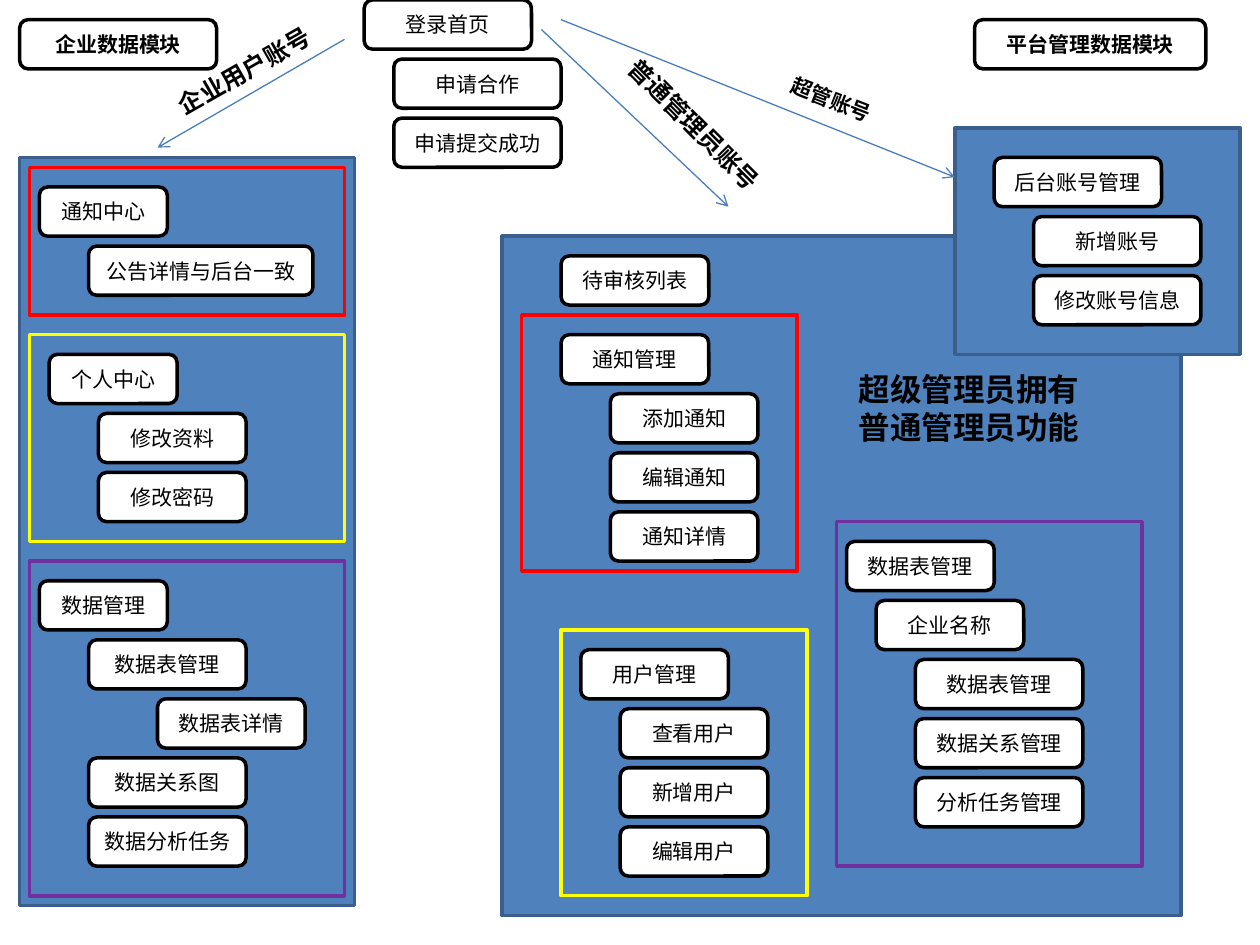
from lxml.etree import SubElement
from pptx import Presentation
from pptx.dml.color import RGBColor
from pptx.enum.shapes import MSO_CONNECTOR, MSO_SHAPE
from pptx.enum.text import MSO_ANCHOR, MSO_AUTO_SIZE, PP_ALIGN
from pptx.oxml.ns import qn
from pptx.util import Emu, Pt

EMU_PER_PX = 914400 / 128
ROW_PITCH = 60
NODE_HEIGHT = 50
FONT = "Calibri"
BLACK, WHITE = "000000", "FFFFFF"
RED, YELLOW, PURPLE = "FF0000", "FFFF00", "7030A0"
PANEL_FILL, PANEL_EDGE, ARROW_BLUE = "4F81BD", "3A5F8C", "4B7EBC"

PANELS = [(510, 240, 690, 690), (970, 130, 290, 230), (20, 160, 340, 760)]

FRAMES = [
    (30, 170, 320, 150, RED),
    (30, 340, 320, 210, YELLOW),
    (30, 570, 320, 340, PURPLE),
    (530, 320, 280, 260, RED),
    (570, 640, 250, 270, YELLOW),
    (850, 530, 310, 350, PURPLE),
]

HEADINGS = [(20, 20, 200, "企业数据模块"), (990, 20, 235, "平台管理数据模块")]

MENUS = [
    (0, [(370, 170, "登录首页"), (400, 170, "申请合作"), (400, 170, "申请提交成功")]),
    (190, [(40, 130, "通知中心"), (90, 228, "公告详情与后台一致")]),
    (360, [(50, 130, "个人中心"), (100, 150, "修改资料"), (100, 150, "修改密码")]),
    (590, [(40, 130, "数据管理"), (90, 160, "数据表管理"), (160, 150, "数据表详情"),
           (90, 160, "数据关系图"), (90, 160, "数据分析任务")]),
    (260, [(570, 150, "待审核列表")]),
    (340, [(570, 150, "通知管理"), (620, 150, "添加通知"), (620, 150, "编辑通知"),
           (620, 150, "通知详情")]),
    (660, [(590, 150, "用户管理"), (630, 150, "查看用户"), (630, 150, "新增用户"),
           (630, 150, "编辑用户")]),
    (550, [(860, 150, "数据表管理"), (890, 150, "企业名称"), (930, 170, "数据表管理"),
           (930, 170, "数据关系管理"), (930, 170, "分析任务管理")]),
    (160, [(1010, 170, "后台账号管理"), (1050, 170, "新增账号"), (1050, 170, "修改账号信息")]),
]

LOGIN_ROUTES = [(350, 40, 160, 150), (550, 30, 740, 210), (570, 20, 970, 180)]

ROUTE_LABELS = [
    (159, 44, 201, 44, "企业用户账号", 14, 330.4),
    (605, 105, 200, 44, "普通管理员账号", 14, 45.3),
    (788, 90, 154, 38, "超管账号", 12, 21.5),
]


def px(length):
    """Turn whole pixels into EMU."""
    return Emu(round(length * EMU_PER_PX))


def color(hex_code):
    """Turn a hex string into a colour."""
    return RGBColor.from_string(hex_code)


def add_run(paragraph, text, size, bold):
    """Add one black run to a paragraph."""
    run = paragraph.add_run()
    run.text = text
    run.font.name = FONT
    run.font.size = Pt(size)
    run.font.bold = bold
    run.font.color.rgb = color(BLACK)


def add_box(slide, kind, left, top, width, height, edge, fill=None):
    """Add an outlined shape, filled only when a fill is given."""
    box = slide.shapes.add_shape(kind, px(left), px(top), px(width), px(height))
    box.shadow.inherit = False
    box.line.color.rgb = color(edge)
    box.line.width = Pt(2)
    if fill:
        box.fill.solid()
        box.fill.fore_color.rgb = color(fill)
    else:
        box.fill.background()
    return box


def add_node(slide, left, top, width, text, bold=False):
    """Add a white rounded page node with a centred name."""
    node = add_box(slide, MSO_SHAPE.ROUNDED_RECTANGLE, left, top, width,
                   NODE_HEIGHT, BLACK, WHITE)
    frame = node.text_frame
    frame.word_wrap = True
    frame.vertical_anchor = MSO_ANCHOR.MIDDLE
    paragraph = frame.paragraphs[0]
    paragraph.alignment = PP_ALIGN.CENTER
    add_run(paragraph, text, 12, bold)


def add_menu(slide, top, entries):
    """Stack the nodes of one menu at an even pitch."""
    for row, (left, width, text) in enumerate(entries):
        add_node(slide, left, top + row * ROW_PITCH, width, text)


def add_arrow(slide, *ends):
    """Add a thin line with an open arrowhead at its end."""
    arrow = slide.shapes.add_connector(MSO_CONNECTOR.STRAIGHT, *map(px, ends))
    arrow.line.color.rgb = color(ARROW_BLUE)
    arrow.line.width = Pt(0.75)
    SubElement(arrow.line._get_or_add_ln(), qn("a:tailEnd"), type="arrow")
    SubElement(arrow._element.spPr, qn("a:effectLst"))


def add_label(slide, left, top, width, height, text, size, rotation=0, wrap=False):
    """Add bold free text, turned when a rotation is given."""
    label = slide.shapes.add_textbox(px(left), px(top), px(width), px(height))
    label.rotation = rotation
    frame = label.text_frame
    frame.word_wrap = wrap
    frame.auto_size = MSO_AUTO_SIZE.SHAPE_TO_FIT_TEXT
    add_run(frame.paragraphs[0], text, size, True)


def main():
    """Build the site map slide and save it."""
    deck = Presentation()
    deck.slide_width, deck.slide_height = px(1280), px(960)
    slide = deck.slides.add_slide(deck.slide_layouts[6])
    for panel in PANELS:
        add_box(slide, MSO_SHAPE.RECTANGLE, *panel, PANEL_EDGE, PANEL_FILL)
    for frame in FRAMES:
        add_box(slide, MSO_SHAPE.RECTANGLE, *frame)
    for heading in HEADINGS:
        add_node(slide, *heading, bold=True)
    for menu in MENUS:
        add_menu(slide, *menu)
    for route in LOGIN_ROUTES:
        add_arrow(slide, *route)
    for label in ROUTE_LABELS:
        add_label(slide, *label)
    add_label(slide, 860, 370, 270, 91, "超级管理员拥有普通管理员功能", 18, wrap=True)
    deck.save("out.pptx")


if __name__ == "__main__":
    main()
